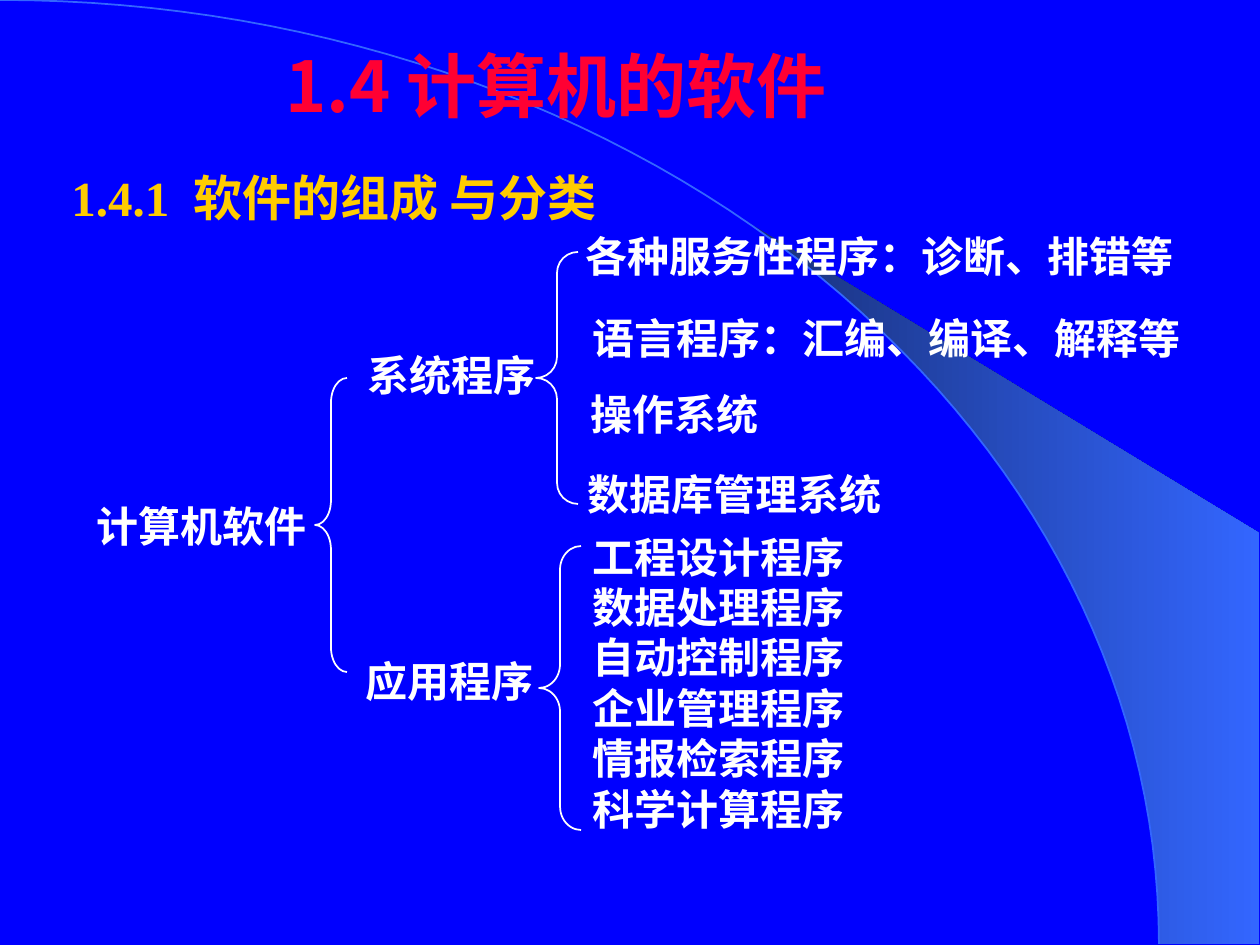
from math import asin, cos, pi, sin

from lxml.etree import SubElement
from pptx import Presentation
from pptx.dml.color import RGBColor
from pptx.enum.shapes import MSO_SHAPE as Shape
from pptx.enum.text import MSO_ANCHOR as Anchor, PP_ALIGN as Align
from pptx.oxml.ns import qn
from pptx.util import Pt

EMU_PER_PX = 914400 / 126
WIDTH, HEIGHT = 1260, 945

BLUE = RGBColor(0x00, 0x00, 0xFF)
NAVY = RGBColor(0x18, 0x2F, 0x76)
SKY = RGBColor(0x33, 0x66, 0xFF)
RED = RGBColor(0xFF, 0x00, 0x33)
GOLD = RGBColor(0xFF, 0xCC, 0x00)
WHITE = RGBColor(0xFF, 0xFF, 0xFF)

SANS, SERIF = "Noto Sans CJK SC", "Times New Roman"

TITLE = "1.4 计算机的软件"
HEADING = "1.4.1  软件的组成 与分类"
# left, top, lines
LABELS = [
    (84, 494, ["计算机软件"]),
    (355, 343, ["系统程序"]),
    (573, 224, ["各种服务性程序：诊断、排错等"]),
    (580, 306, ["语言程序：汇编、编译、解释等"]),
    (578, 382, ["操作系统"]),
    (575, 462, ["数据库管理系统"]),
    (353, 649, ["应用程序"]),
    (580, 525, ["工程设计程序", "数据处理程序", "自动控制程序",
                "企业管理程序", "情报检索程序", "科学计算程序"]),
]
# left, top, width, height, curl as a share of the width
BRACES = [
    (315, 378, 32, 294, 0.77),
    (536, 252, 42, 252, 0.5),
    (539, 546, 42, 284, 0.56),
]
CHAR, LINE, INSET_X, INSET_Y = 42, 50, 25, 13

ARC_RX, ARC_RY = 1159, 944
BEAM_START = 742
BEAM_EDGE = [(1259, 944), (1259, 533)]
ARC_STEPS = 60


def px(length):
    return round(length * EMU_PER_PX)


def arc_points(start_x):
    """Points on the quarter ellipse from start_x down to the slide's foot."""
    first = asin(start_x / ARC_RX)
    angles = [first + (pi / 2 - first) * i / ARC_STEPS for i in range(ARC_STEPS + 1)]
    return [(ARC_RX * sin(a), ARC_RY * (1 - cos(a))) for a in angles]


def add_outline(slide, points, close):
    (x, y), *rest = points
    builder = slide.shapes.build_freeform(px(x), px(y))
    builder.add_line_segments([(px(x), px(y)) for x, y in rest], close=close)
    outline = builder.convert_to_shape()
    outline.shadow.inherit = False
    return outline


def add_text(slide, box, lines, size, color, font=SERIF, wrap=False):
    frame = slide.shapes.add_textbox(*map(px, box)).text_frame
    frame.word_wrap = wrap
    frame.text = "\n".join(lines)
    for paragraph in frame.paragraphs:
        for run in paragraph.runs:
            run.font.name = font
            run.font.size = Pt(size)
            run.font.bold = True
            run.font.color.rgb = color
            SubElement(run.font._element, qn("a:ea"), typeface=SANS)
    return frame


def add_brace(slide, left, top, width, height, curl):
    brace = slide.shapes.add_shape(Shape.LEFT_BRACE, *map(px, (left, top, width, height)))
    brace.shadow.inherit = False
    brace.adjustments[0] = curl
    brace.fill.background()
    brace.line.color.rgb = WHITE
    brace.line.width = Pt(1)


def add_backdrop(slide):
    slide.background.fill.solid()
    slide.background.fill.fore_color.rgb = BLUE

    beam = add_outline(slide, arc_points(BEAM_START) + BEAM_EDGE, close=True)
    beam.line.fill.background()
    beam.fill.gradient()
    beam.fill.gradient_angle = 0
    for stop, color in zip(beam.fill.gradient_stops, (NAVY, SKY)):
        stop.color.rgb = color

    arc = add_outline(slide, arc_points(0), close=False)
    arc.fill.background()
    arc.line.color.rgb = SKY
    arc.line.width = Pt(1)


def main():
    deck = Presentation()
    deck.slide_width, deck.slide_height = px(WIDTH), px(HEIGHT)
    slide = deck.slides.add_slide(deck.slide_layouts[6])
    add_backdrop(slide)

    title = add_text(slide, (94, 42, 924, 84), [TITLE], 40, RED, font=SANS, wrap=True)
    title.vertical_anchor = Anchor.MIDDLE
    title.paragraphs[0].alignment = Align.CENTER
    add_text(slide, (59, 161, 562, 72), [HEADING], 28, GOLD)

    for left, top, lines in LABELS:
        width = CHAR * max(map(len, lines)) + INSET_X
        height = LINE * len(lines) + INSET_Y
        add_text(slide, (left, top, width, height), lines, 24, WHITE)
    for brace in BRACES:
        add_brace(slide, *brace)

    deck.save("out.pptx")


if __name__ == "__main__":
    main()
